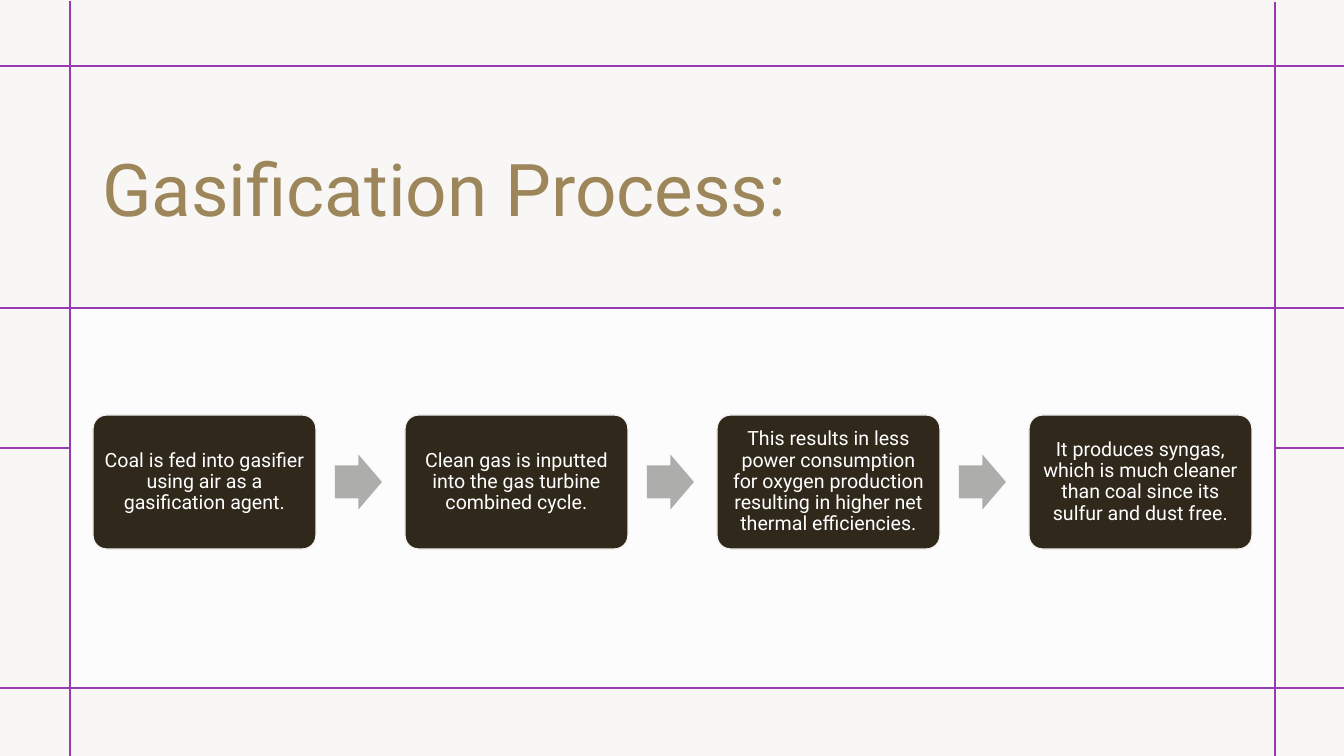
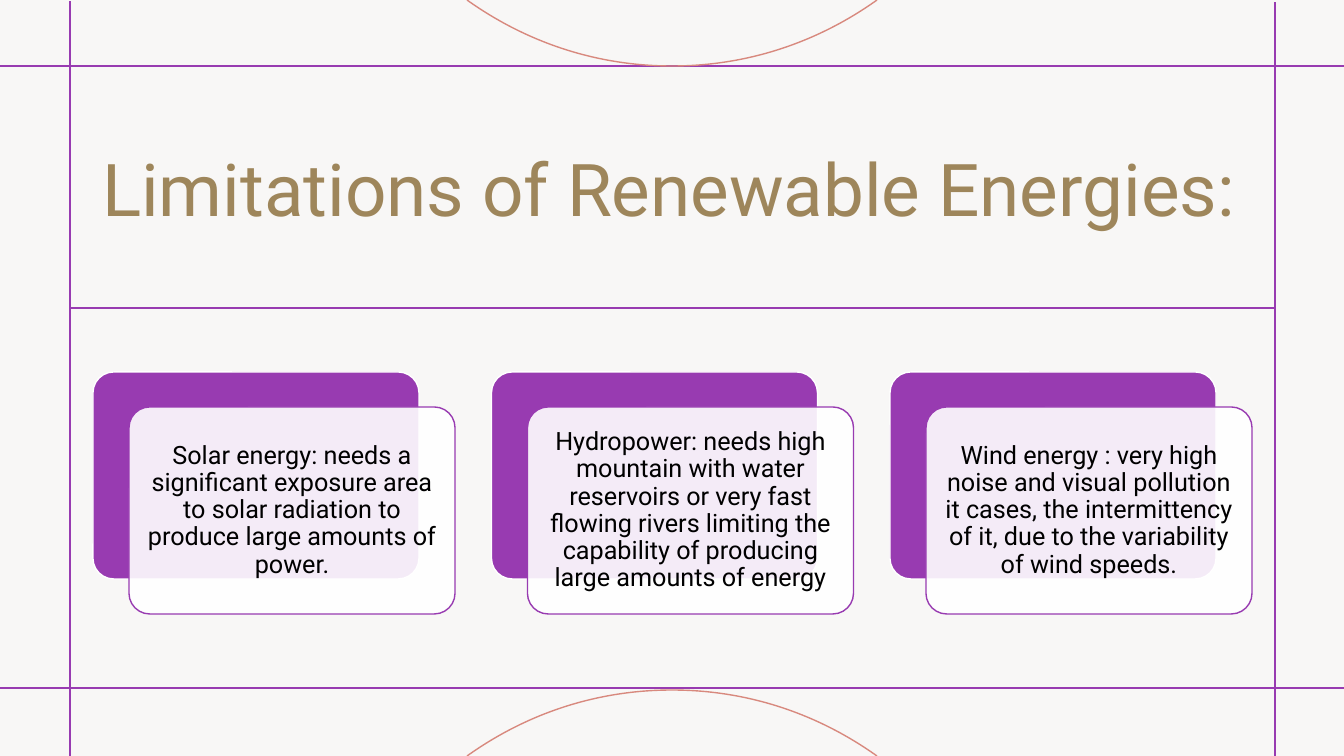
from lxml import etree
from pptx import Presentation
from pptx import util as u
from pptx.dml.color import RGBColor
from pptx.enum import shapes, text
from pptx.oxml.ns import qn

PX = 914400 / 100.8
WIDE, HIGH = 1344, 756
LEFT, RIGHT = 70, 1275
TOP, MID, LOW, BASE = 66, 308, 448, 688
FONT = "Roboto"
PAPER = RGBColor(0xF8, 0xF7, 0xF6)
WHITE = RGBColor(0xFF, 0xFF, 0xFF)
BLACK = RGBColor(0x00, 0x00, 0x00)
PURPLE = RGBColor(0x98, 0x3B, 0xB1)
CORAL = RGBColor(0xD8, 0x89, 0x7E)
GOLD = RGBColor(0x9E, 0x86, 0x5B)
BROWN = RGBColor(0x2F, 0x28, 0x1B)
CREAM = RGBColor(0xF3, 0xF2, 0xF0)
GREY = RGBColor(0xAD, 0xAD, 0xAC)

STEPS = [
    "Coal is fed into gasifier using air as a gasification agent.",
    "Clean gas is inputted into the gas turbine combined cycle.",
    "This results in less power consumption for oxygen production "
    "resulting in higher net thermal efficiencies.",
    "It produces syngas, which is much cleaner than coal since its "
    "sulfur and dust free.",
]
LIMITS = [
    "Solar energy: needs a significant exposure area to solar radiation "
    "to produce large amounts of power.",
    "Hydropower: needs high mountain with water reservoirs or very fast "
    "flowing rivers limiting the capability of producing large amounts "
    "of energy",
    "Wind energy : very high noise and visual pollution it cases, the "
    "intermittency of it, due to the variability of wind speeds.",
]


def emu(*sizes):
    return [round(size * PX) for size in sizes]


def write(shape, words, size, color, align=text.PP_ALIGN.CENTER,
          inset=None, space=None):
    frame = shape.text_frame
    frame.word_wrap = True
    frame.auto_size = text.MSO_AUTO_SIZE.NONE
    frame.vertical_anchor = text.MSO_ANCHOR.MIDDLE
    if inset is not None:
        pad, = emu(inset)
        frame.margin_left = frame.margin_right = pad
        frame.margin_top = frame.margin_bottom = pad
    para = frame.paragraphs[0]
    para.text = words
    para.alignment = align
    para.line_spacing = space
    para.font.name = FONT
    para.font.size = u.Pt(size)
    para.font.color.rgb = color


def draw(slide, kind, box, fill, edge=None, alpha=None, adjust=()):
    shape = slide.shapes.add_shape(kind, *emu(*box))
    shape.shadow.inherit = False
    shape.fill.solid()
    shape.fill.fore_color.rgb = fill
    if alpha:
        tint = shape.fill._xPr.find(qn("a:solidFill"))[0]
        etree.SubElement(tint, qn("a:alpha"), val=str(alpha * 1000))
    if edge is None:
        shape.line.fill.background()
    else:
        shape.line.color.rgb = edge
        shape.line.width = u.Pt(1)
    for i, value in enumerate(adjust):
        shape.adjustments[i] = value
    return shape


def rule(slide, *ends):
    line = slide.shapes.add_connector(
        shapes.MSO_CONNECTOR.STRAIGHT, *emu(*ends))
    line.line.color.rgb = PURPLE
    line.line.width = u.Pt(1)
    etree.SubElement(line._element.spPr, qn("a:effectLst"))


def arc(slide, box, down):
    x, y, w, h = box
    half = [(0, 0), (0.14, 0.62), (0.31, 1), (0.5, 1)]
    whole = half + [(1 - a, b) for a, b in half[-2::-1]]
    points = [emu(x + a * w, y + h * (b if down else 1 - b))
              for a, b in whole]
    build = slide.shapes.build_freeform(*points[0])
    build.add_line_segments(points[1:], close=False)
    curve = build.convert_to_shape()
    steps = list(curve._element.iter(qn("a:lnTo")))
    for i in range(0, len(steps), 3):
        bend = etree.Element(qn("a:cubicBezTo"))
        steps[i].addprevious(bend)
        for step in steps[i:i + 3]:
            bend.append(step[0])
            step.getparent().remove(step)
    curve.shadow.inherit = False
    curve.fill.background()
    curve.line.color.rgb = CORAL
    curve.line.width = u.Pt(1)


def start(deck):
    slide = deck.slides.add_slide(deck.slide_layouts[5])
    draw(slide, shapes.MSO_SHAPE.RECTANGLE, (0, 0, WIDE, HIGH), PAPER)
    return slide


def head(slide, words, width):
    title = slide.shapes.title
    title.left, title.top, title.width, title.height = emu(92, 78, width, 218)
    write(title, words, 52, GOLD, align=text.PP_ALIGN.LEFT)
    slide.shapes._spTree.append(title._element)


def grid(slide):
    for y in (BASE, TOP):
        rule(slide, 0, y, WIDE, y)
    rule(slide, RIGHT, HIGH, RIGHT, 2)
    rule(slide, LEFT, HIGH, LEFT, 1)


def flow(slide, box, steps):
    x, y, w, h = box
    wide = 223
    pitch = (w - wide) / (len(steps) - 1)
    for i, words in enumerate(steps):
        left = x + i * pitch
        card = draw(slide, shapes.MSO_SHAPE.ROUNDED_RECTANGLE,
                    (left, y, wide, h), BROWN, edge=CREAM, adjust=[0.1])
        write(card, words, 14, WHITE, inset=6, space=0.9)
        if i < len(steps) - 1:
            draw(slide, shapes.MSO_SHAPE.RIGHT_ARROW,
                 (left + wide + 19, y + (h - 55) / 2, 47, 55),
                 GREY, adjust=[0.6, 0.5])


def stack(slide, box, limits):
    x, y, w, h = box
    wide, right, down = 326, 36, 35
    high = h - down
    pitch = (w - wide - right) / (len(limits) - 1)
    for i, words in enumerate(limits):
        left = x + i * pitch
        draw(slide, shapes.MSO_SHAPE.ROUNDED_RECTANGLE,
             (left, y, wide, high), PURPLE, edge=WHITE, adjust=[0.1])
        card = draw(slide, shapes.MSO_SHAPE.ROUNDED_RECTANGLE,
                    (left + right, y + down, wide, high), WHITE,
                    edge=PURPLE, alpha=90, adjust=[0.1])
        write(card, words, 18, BLACK, inset=7, space=0.9)


def process(deck):
    slide = start(deck)
    draw(slide, shapes.MSO_SHAPE.RECTANGLE,
         (LEFT, MID, RIGHT - LEFT, BASE - MID), WHITE, alpha=75)
    for x, end in ((RIGHT, WIDE), (0, LEFT)):
        for y in (MID, LOW):
            rule(slide, x, y, end, y)
    grid(slide)
    rule(slide, LEFT, MID, RIGHT, MID)
    head(slide, "Gasification Process:", 1160)
    flow(slide, (93, 415, 1159, 134), STEPS)


def limits(deck):
    slide = start(deck)
    grid(slide)
    arc(slide, (467, 0, 410, 66), True)
    arc(slide, (467, 690, 410, 66), False)
    head(slide, "Limitations of Renewable Energies:", 1178)
    rule(slide, LEFT, MID, RIGHT, MID)
    stack(slide, (93, 372, 1159, 242), LIMITS)


def main():
    deck = Presentation()
    deck.slide_width, deck.slide_height = emu(WIDE, HIGH)
    process(deck)
    limits(deck)
    deck.save("out.pptx")


if __name__ == "__main__":
    main()
